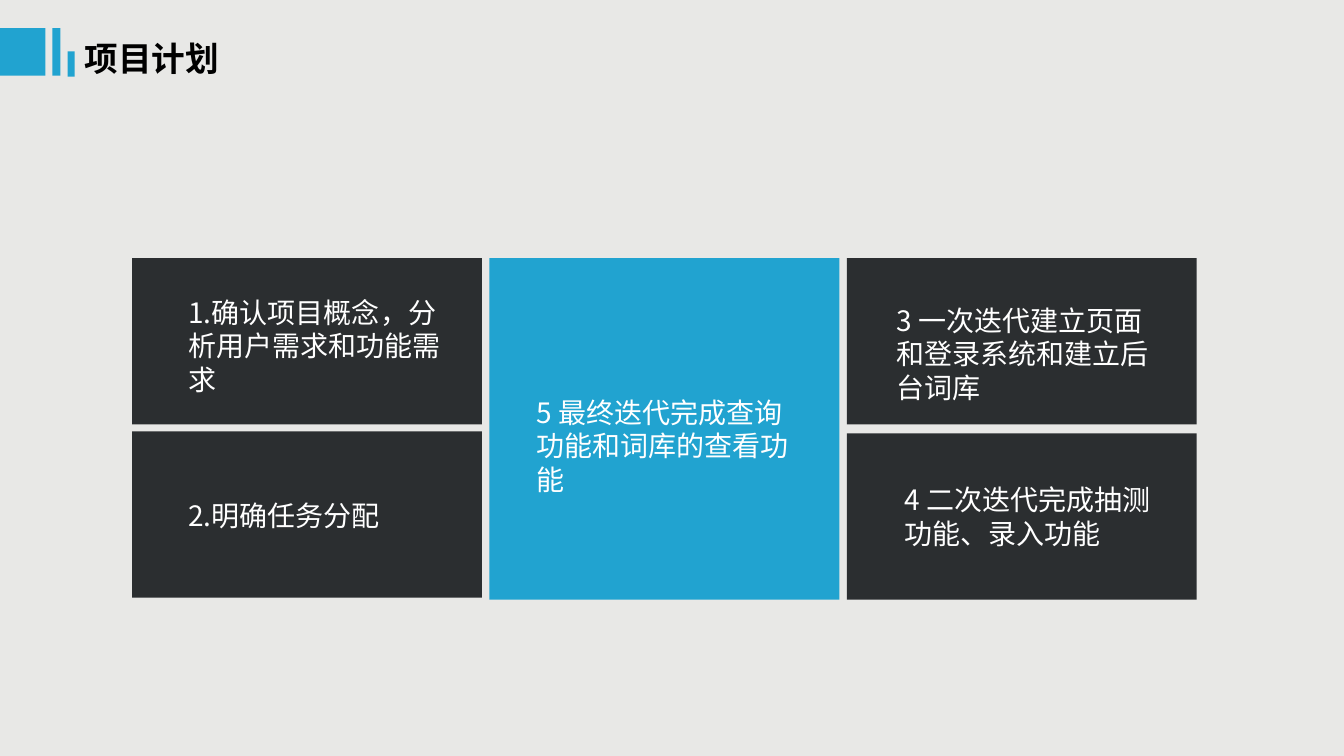
import dataclasses

import lxml.etree
import pptx
import pptx.dml.color
import pptx.enum.shapes
import pptx.enum.text
import pptx.oxml.ns
import pptx.util

Inches = pptx.util.Inches


@dataclasses.dataclass
class Theme:
    back: str = "E8E8E6"
    blue: str = "21A3D0"
    dark: str = "2B2E30"
    white: str = "FFFFFF"
    black: str = "000000"
    font: str = "Noto Sans CJK SC"
    title: int = 24
    body: int = 20


def rgb(code):
    return pptx.dml.color.RGBColor.from_string(code)


class Deck:
    def __init__(self, theme):
        self.theme = theme
        self.file = pptx.Presentation()
        self.file.slide_width = Inches(13.33)
        self.file.slide_height = Inches(7.5)
        self.slide = self.file.slides.add_slide(self.file.slide_layouts[6])
        fill = self.slide.background.fill
        fill.solid()
        fill.fore_color.rgb = rgb(theme.back)

    def block(self, left, top, width, height, color):
        shape = self.slide.shapes.add_shape(
            pptx.enum.shapes.MSO_SHAPE.RECTANGLE,
            Inches(left), Inches(top), Inches(width), Inches(height))
        shape.shadow.inherit = False
        shape.fill.solid()
        shape.fill.fore_color.rgb = rgb(color)
        shape.line.fill.background()

    def text(self, left, top, width, height, words, size, color, bold=False):
        box = self.slide.shapes.add_textbox(
            Inches(left), Inches(top), Inches(width), Inches(height))
        frame = box.text_frame
        frame.word_wrap = True
        frame.auto_size = pptx.enum.text.MSO_AUTO_SIZE.SHAPE_TO_FIT_TEXT
        frame.text = words
        font = frame.paragraphs[0].runs[0].font
        font.name = self.theme.font
        font.size = pptx.util.Pt(size)
        font.bold = bold
        font.color.rgb = rgb(color)
        props = frame.paragraphs[0].runs[0]._r.get_or_add_rPr()
        east = lxml.etree.SubElement(props, pptx.oxml.ns.qn("a:ea"))
        east.set("typeface", self.theme.font)


def main():
    theme = Theme()
    deck = Deck(theme)

    wide, high, top = 3.47, 1.65, 2.56
    left, mid, right = (1.31 + 3.545 * i for i in range(3))
    deck.block(mid, top, wide, 3.39, theme.blue)
    for x, y in ((left, top), (left, 4.28), (right, top), (right, 4.3)):
        deck.block(x, y, wide, high, theme.dark)

    steps = (
        (1.77, 2.88, 2.83, 1.45, "1.确认项目概念，分析用户需求和功能需求"),
        (1.77, 4.9, 2.83, 0.44, "2.明确任务分配"),
        (8.79, 2.96, 2.83, 1.11, "3 一次迭代建立页面和登录系统和建立后台词库"),
        (8.87, 4.74, 2.83, 0.77, "4 二次迭代完成抽测功能、录入功能"),
        (5.22, 3.87, 2.73, 1.11, "5 最终迭代完成查询功能和词库的查看功能"),
    )
    for step in steps:
        deck.text(*step, theme.body, theme.white)

    bars = ((0, 0.28, 0.45, 0.47), (0.52, 0.28, 0.08, 0.47),
            (0.67, 0.51, 0.07, 0.25))
    for bar in bars:
        deck.block(*bar, theme.blue)
    deck.text(0.74, 0.33, 2.14, 0.5, "项目计划", theme.title, theme.black, True)

    deck.file.save("out.pptx")


if __name__ == "__main__":
    main()
